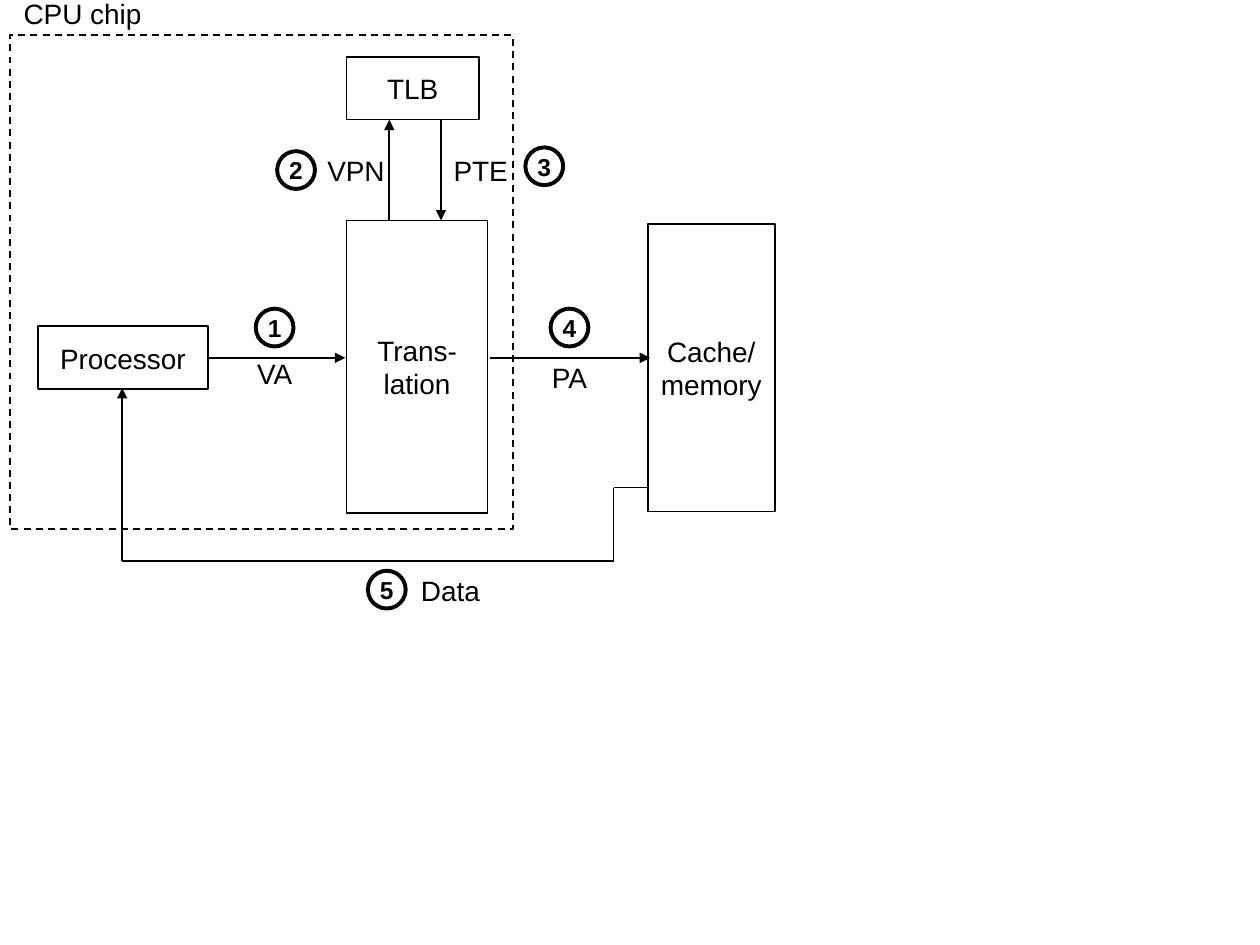
"""Build a slide showing address translation with a TLB hit."""
from lxml.etree import SubElement
from pptx import Presentation
from pptx.dml.color import RGBColor
from pptx.enum.dml import MSO_LINE
from pptx.enum.shapes import MSO_CONNECTOR, MSO_SHAPE
from pptx.enum.text import MSO_ANCHOR, PP_ALIGN
from pptx.oxml.ns import qn
from pptx.util import Inches, Pt

BLACK = RGBColor(0, 0, 0)


def write(box, text, size=16, bold=False):
    frame = box.text_frame
    frame.word_wrap = False
    frame.vertical_anchor = MSO_ANCHOR.MIDDLE
    frame.text = text
    for paragraph in frame.paragraphs:
        paragraph.alignment = PP_ALIGN.CENTER
        paragraph.font.name = "Arial"
        paragraph.font.size = Pt(size)
        paragraph.font.bold = bold
        paragraph.font.color.rgb = BLACK


def outline(page, kind, place, width=1):
    shape = page.shapes.add_shape(kind, *[Inches(value) for value in place])
    shape.shadow.inherit = False
    shape.fill.background()
    shape.line.color.rgb = BLACK
    shape.line.width = Pt(width)
    return shape


deck = Presentation()
deck.slide_width = Inches(10)
deck.slide_height = Inches(7.5)
page = deck.slides.add_slide(deck.slide_layouts[6])

chip = outline(page, MSO_SHAPE.RECTANGLE, (0.08, 0.28, 3.99, 3.92))
chip.line.dash_style = MSO_LINE.DASH

units = [
    ("Processor", (0.3, 2.59, 1.35, 0.5)),
    ("Trans-\nlation", (2.75, 1.75, 1.12, 2.32)),
    ("Cache/\nmemory", (5.14, 1.78, 1.01, 2.28)),
    ("TLB", (2.75, 0.45, 1.05, 0.5)),
]
for name, place in units:
    write(outline(page, MSO_SHAPE.RECTANGLE, place), name)

links = [
    (1.65, 2.84, 2.74, 2.84, True),
    (3.89, 2.84, 5.16, 2.84, True),
    (3.09, 1.75, 3.09, 0.95, True),
    (3.5, 0.95, 3.5, 1.75, True),
    (5.14, 3.87, 4.87, 3.87, False),
    (4.87, 4.45, 4.87, 3.87, False),
    (4.87, 4.45, 0.97, 4.45, False),
    (0.97, 4.45, 0.97, 3.08, True),
]
for *ends, has_arrow in links:
    link = page.shapes.add_connector(MSO_CONNECTOR.STRAIGHT, *[Inches(value) for value in ends])
    link.line.color.rgb = BLACK
    link.line.width = Pt(1)
    properties = link._element.spPr
    if has_arrow:
        SubElement(properties.find(qn("a:ln")), qn("a:tailEnd"), type="triangle")
    SubElement(properties, qn("a:effectLst"))

labels = [
    ("CPU chip", (0.09, -0.08, 1.13, 0.37)),
    ("VPN", (2.5, 1.17, 0.65, 0.37)),
    ("PTE", (3.5, 1.17, 0.63, 0.37)),
    ("Data", (3.24, 4.5, 0.67, 0.37)),
]
for name, place in labels:
    box = page.shapes.add_textbox(*[Inches(value) for value in place])
    write(box, name)
    box.text_frame.margin_left = box.text_frame.margin_right = Inches(0.05)

for name, left, top in [("VA", 1.97, 2.84), ("PA", 4.31, 2.87)]:
    box = page.shapes.add_textbox(Inches(left), Inches(top), Inches(0.44), Inches(0.28))
    write(box, name)
    frame = box.text_frame
    frame.vertical_anchor = MSO_ANCHOR.TOP
    frame.margin_left = frame.margin_right = Inches(0.07)
    frame.margin_top = frame.margin_bottom = Inches(0.03)
    frame.paragraphs[0].alignment = PP_ALIGN.LEFT
    frame.paragraphs[0].line_spacing = 0.85

steps = [(2.03, 2.45), (2.2, 1.2), (4.17, 1.17), (4.37, 2.45), (2.92, 4.53)]
for number, (left, top) in enumerate(steps, 1):
    circle = outline(page, MSO_SHAPE.OVAL, (left, top, 0.3, 0.3), 2.25)
    write(circle, str(number), 14, True)

deck.save("out.pptx")
